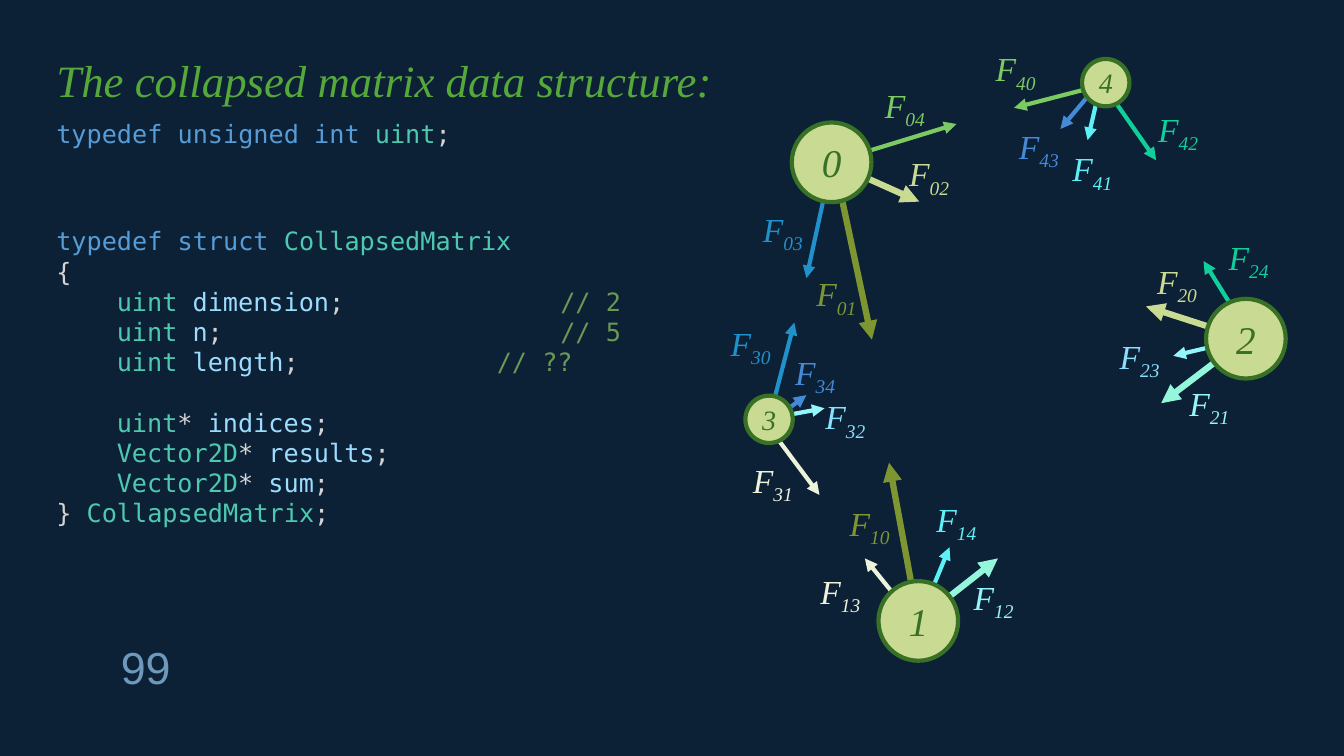
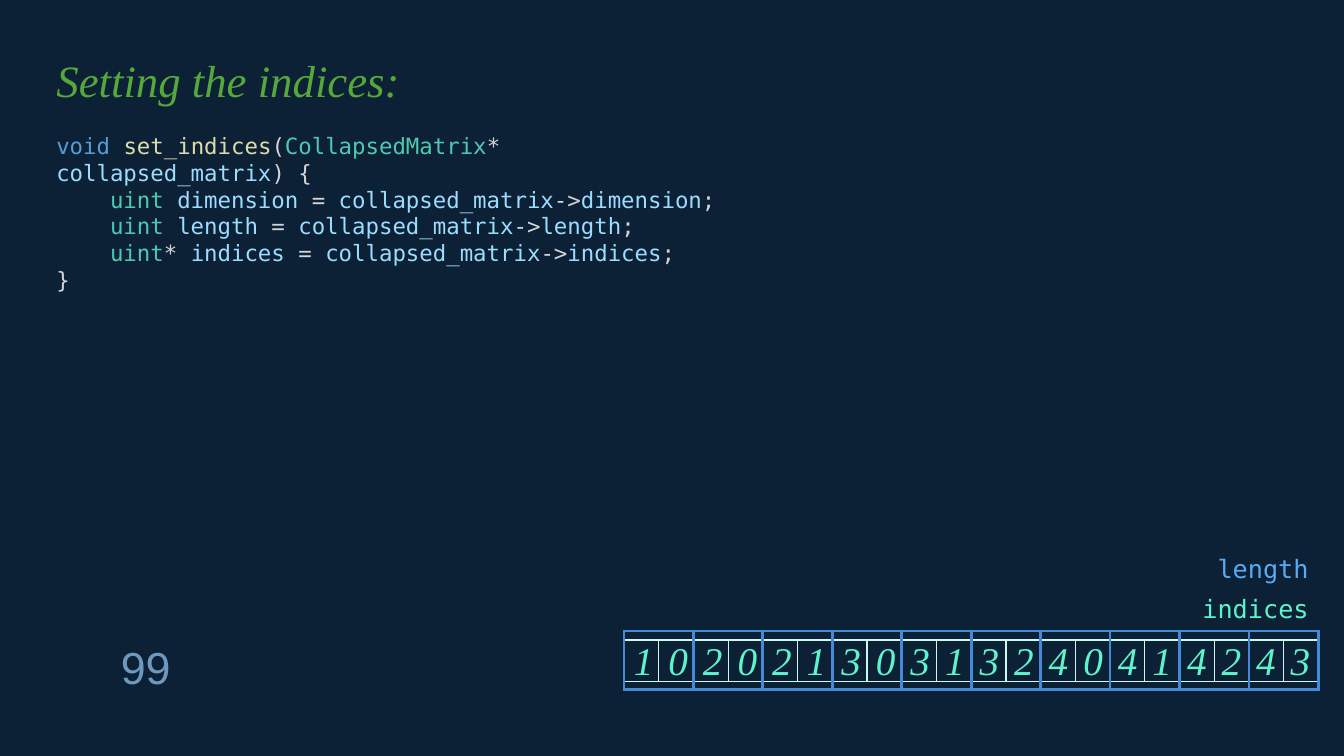
import dataclasses
import typing

import lxml.etree
import pptx
import pptx.dml.color
import pptx.enum.shapes
import pptx.enum.text
import pptx.oxml.ns
import pptx.presentation
import pptx.slide
import pptx.text.text
import pptx.util

Inches = pptx.util.Inches
Pt = pptx.util.Pt
RGBColor = pptx.dml.color.RGBColor
Align = pptx.enum.text.PP_ALIGN
qn = pptx.oxml.ns.qn

NAVY = RGBColor(0x0C, 0x20, 0x36)
TITLE_GREEN = RGBColor(0x55, 0xA8, 0x39)
NUMBER_BLUE = RGBColor(0x6E, 0x99, 0xBD)

KEYWORD = RGBColor(0x56, 0x9C, 0xD6)
TYPE = RGBColor(0x4E, 0xC9, 0xB0)
VARIABLE = RGBColor(0x9C, 0xDC, 0xFE)
FUNCTION = RGBColor(0xDC, 0xDC, 0xAA)
PLAIN = RGBColor(0xD4, 0xD4, 0xD4)
COMMENT = RGBColor(0x6A, 0x99, 0x55)

DARK_GREEN = RGBColor(0x38, 0x70, 0x26)
LIME = RGBColor(0xC9, 0xDA, 0x92)
OLIVE = RGBColor(0x7E, 0x96, 0x32)
LEAF = RGBColor(0x7C, 0xCA, 0x62)
OCEAN = RGBColor(0x21, 0x91, 0xC9)
BLUE = RGBColor(0x44, 0x8A, 0xD7)
SKY = RGBColor(0x8A, 0xDF, 0xFF)
PALE_CYAN = RGBColor(0x94, 0xF5, 0xFA)
CYAN = RGBColor(0x5E, 0xF0, 0xF7)
AQUA = RGBColor(0x94, 0xF7, 0xDC)
EMERALD = RGBColor(0x10, 0xCF, 0x9B)
CREAM = RGBColor(0xED, 0xF3, 0xDB)
MINT = RGBColor(0x5F, 0xF3, 0xCA)
PALE_MINT = RGBColor(0xCA, 0xFB, 0xED)
LENGTH_BLUE = RGBColor(0x59, 0xAA, 0xF2)

SERIF = {"name": "Times New Roman", "italic": True}
MONO = {"name": "DejaVu Sans Mono"}
TITLE_FONT = {**SERIF, "size": Pt(32)}
NUMBER_FONT = {"name": "Arial", "size": Pt(32)}
LABEL_FONT = {**SERIF, "size": Pt(24)}
DIGIT_FONT = {**SERIF, "size": Pt(28)}
CAPTION_FONT = {**MONO, "size": Pt(18)}

MARGIN = 0.46
MONO_ADVANCE = 0.6
ARRAY_LEFT, ARRAY_WIDTH = 6.19, 6.89
DIGIT_ROW_WIDTH = 6.86


class Token(typing.NamedTuple):
    text: str
    color: RGBColor


@dataclasses.dataclass(frozen=True)
class CodeLine:
    tokens: list[Token]
    comment_at: float | None = None
    space_before: float = 0


@dataclasses.dataclass(frozen=True)
class Body:
    x: float
    y: float
    diameter: float
    digit_size: int


@dataclasses.dataclass(frozen=True)
class Force:
    """Force on one body by another; the arrow starts at the body's centre by default."""
    on: int
    by: int
    tip: tuple[float, float]
    label: tuple[float, float]
    start: tuple[float, float] | None = None

    @property
    def pair(self) -> tuple[int, int]:
        return min(self.on, self.by), max(self.on, self.by)


class PairColors(typing.NamedTuple):
    arrow: RGBColor
    label: RGBColor


BODIES = [
    Body(8.25, 1.61, 0.79, 28),
    Body(9.11, 6.16, 0.79, 28),
    Body(12.36, 3.36, 0.79, 28),
    Body(7.63, 4.16, 0.47, 20),
    Body(10.97, 0.82, 0.47, 20),
]

PAIR_COLORS = {
    (0, 1): PairColors(OLIVE, OLIVE),
    (0, 2): PairColors(LIME, LIME),
    (0, 3): PairColors(OCEAN, OCEAN),
    (0, 4): PairColors(LEAF, LEAF),
    (1, 2): PairColors(AQUA, PALE_CYAN),
    (1, 3): PairColors(CREAM, CREAM),
    (1, 4): PairColors(CYAN, CYAN),
    (2, 3): PairColors(PALE_CYAN, SKY),
    (2, 4): PairColors(EMERALD, EMERALD),
    (3, 4): PairColors(BLUE, BLUE),
}

FORCES = [
    Force(0, 1, (8.65, 3.37), (8, 2.66), (8.26, 1.54)),
    Force(0, 2, (9.12, 2), (8.92, 1.47)),
    Force(0, 3, (8, 2.76), (7.47, 2.02)),
    Force(0, 4, (9.49, 1.23), (8.68, 0.79)),
    Force(1, 0, (8.82, 4.59), (8.33, 4.94)),
    Force(1, 2, (9.9, 5.54), (9.56, 5.67)),
    Force(1, 3, (8.58, 5.54), (8.04, 5.61), (9.09, 6.17)),
    Force(1, 4, (9.42, 5.43), (9.19, 4.9), (9.13, 6.13)),
    Force(2, 0, (11.37, 3.04), (11.38, 2.54)),
    Force(2, 1, (11.52, 4), (11.7, 3.75)),
    Force(2, 3, (11.64, 3.53), (11.01, 3.28)),
    Force(2, 4, (11.94, 2.59), (12.09, 2.3), (12.37, 3.28)),
    Force(3, 0, (7.88, 3.2), (7.15, 3.15)),
    Force(3, 1, (8.13, 4.91), (7.37, 4.51), (7.6, 4.2)),
    Force(3, 2, (8.18, 4.05), (8.09, 3.88), (7.69, 4.14)),
    Force(3, 4, (8, 3.92), (7.79, 3.44), (7.67, 4.17)),
    Force(4, 0, (10.06, 1.07), (9.78, 0.43), (10.95, 0.84)),
    Force(4, 1, (10.79, 1.39), (10.54, 1.42), (10.93, 0.79)),
    Force(4, 2, (11.47, 1.59), (11.39, 1.03), (10.93, 0.82)),
    Force(4, 3, (10.52, 1.28), (10.01, 1.2), (10.94, 0.78)),
]


def member(type_name: str, star: str, name: str, comment: str = "",
           comment_at: float | None = None, space_before: float = 0) -> CodeLine:
    tokens = [Token("\t" + type_name, TYPE), Token(star + " ", PLAIN),
              Token(name, VARIABLE), Token(";", PLAIN)]
    if comment:
        tokens.append(Token("\t" + comment, COMMENT))
    return CodeLine(tokens, comment_at, space_before)


def field_copy(star: str, name: str) -> CodeLine:
    return CodeLine([Token("\tuint", TYPE), Token(star + " ", PLAIN),
                     Token(name, VARIABLE), Token(" = ", PLAIN),
                     Token("collapsed_matrix", VARIABLE), Token("->", PLAIN),
                     Token(name, VARIABLE), Token(";", PLAIN)])


UINT_CODE = [CodeLine([Token("typedef unsigned int ", KEYWORD),
                       Token("uint", TYPE), Token(";", PLAIN)])]

STRUCT_CODE = [
    CodeLine([Token("typedef struct ", KEYWORD), Token("CollapsedMatrix", TYPE)]),
    CodeLine([Token("{", PLAIN)]),
    member("uint", "", "dimension", "// 2", 5),
    member("uint", "", "n", "// 5", 5),
    member("uint", "", "length", "// ??", 4.37),
    member("uint", "*", "indices", space_before=21.5),
    member("Vector2D", "*", "results"),
    member("Vector2D", "*", "sum"),
    CodeLine([Token("} ", PLAIN), Token("CollapsedMatrix", TYPE), Token(";", PLAIN)]),
]

SET_INDICES_CODE = [
    CodeLine([Token("void ", KEYWORD), Token("set_indices", FUNCTION), Token("(", PLAIN),
              Token("CollapsedMatrix", TYPE), Token("* ", PLAIN),
              Token("collapsed_matrix", VARIABLE), Token(") {", PLAIN)]),
    field_copy("", "dimension"),
    field_copy("", "length"),
    field_copy("*", "indices"),
    CodeLine([Token("}", PLAIN)]),
]


def add_run(paragraph: pptx.text.text._Paragraph, text: str, font: dict[str, typing.Any],
            color: RGBColor) -> pptx.text.text._Run:
    run = paragraph.add_run()
    run.text = text
    for attribute, value in font.items():
        setattr(run.font, attribute, value)
    run.font.color.rgb = color
    return run


def add_text_frame(slide: pptx.slide.Slide, left: float, top: float,
                   width: float, height: float) -> pptx.text.text.TextFrame:
    frame = slide.shapes.add_textbox(
        Inches(left), Inches(top), Inches(width), Inches(height)).text_frame
    frame.word_wrap = True
    frame.auto_size = pptx.enum.text.MSO_AUTO_SIZE.SHAPE_TO_FIT_TEXT
    return frame


def add_titled_slide(deck: pptx.presentation.Presentation, heading: str) -> pptx.slide.Slide:
    slide = deck.slides.add_slide(deck.slide_layouts.get_by_name("Title Only"))
    title = slide.shapes.title
    place = {"left": MARGIN, "top": 0.47, "width": 6.78, "height": 0.64}
    for attribute, value in place.items():
        setattr(title, attribute, Inches(value))
    frame = title.text_frame
    frame.auto_size = pptx.enum.text.MSO_AUTO_SIZE.NONE
    frame.vertical_anchor = pptx.enum.text.MSO_ANCHOR.TOP
    frame.paragraphs[0].alignment = Align.LEFT
    add_run(frame.paragraphs[0], heading, TITLE_FONT, TITLE_GREEN)
    number = add_text_frame(slide, 1.1, 6.3, 0.77, 0.64)
    add_run(number.paragraphs[0], "99", NUMBER_FONT, NUMBER_BLUE)
    return slide


def add_code(slide: pptx.slide.Slide, top: float, height: float, size: int,
             lines: list[CodeLine]) -> None:
    """Write code whose tab stops are a four-character indent and a comment column."""
    frame = add_text_frame(slide, MARGIN, top, 6.78, height)
    indent = 4 * MONO_ADVANCE * size / 72
    for index, line in enumerate(lines):
        paragraph = frame.add_paragraph() if index else frame.paragraphs[0]
        paragraph.space_before = Pt(line.space_before)
        stops = lxml.etree.SubElement(paragraph._p.get_or_add_pPr(), qn("a:tabLst"))
        for stop in (indent, line.comment_at):
            if stop is not None:
                lxml.etree.SubElement(stops, qn("a:tab"), pos=str(Inches(stop)), algn="l")
        for token in line.tokens:
            add_run(paragraph, token.text, {**MONO, "size": Pt(size)}, token.color)


def add_force_arrow(slide: pptx.slide.Slide, force: Force) -> None:
    body = BODIES[force.on]
    start = force.start or (body.x, body.y)
    arrow = slide.shapes.add_connector(
        pptx.enum.shapes.MSO_CONNECTOR.STRAIGHT, *map(Inches, start + force.tip))
    arrow.line.color.rgb = PAIR_COLORS[force.pair].arrow
    between_large_bodies = max(force.pair) <= 2
    arrow.line.width = Pt(4.5 if between_large_bodies else 3)
    properties = arrow.element.spPr
    lxml.etree.SubElement(properties.find(qn("a:ln")), qn("a:tailEnd"), type="triangle")
    lxml.etree.SubElement(properties, qn("a:effectLst"))


def add_force_label(slide: pptx.slide.Slide, force: Force) -> None:
    color = PAIR_COLORS[force.pair].label
    paragraph = add_text_frame(slide, *force.label, 0.79, 0.5).paragraphs[0]
    add_run(paragraph, "F", LABEL_FONT, color)
    subscript = add_run(paragraph, f"{force.on}{force.by}", LABEL_FONT, color)
    subscript._r.get_or_add_rPr().set("baseline", "-25000")


def add_body(slide: pptx.slide.Slide, number: int, body: Body) -> None:
    radius = body.diameter / 2
    circle = slide.shapes.add_shape(
        pptx.enum.shapes.MSO_SHAPE.OVAL, Inches(body.x - radius), Inches(body.y - radius),
        Inches(body.diameter), Inches(body.diameter))
    circle.shadow.inherit = False
    circle.fill.solid()
    circle.fill.fore_color.rgb = LIME
    circle.line.color.rgb = DARK_GREEN
    circle.line.width = Pt(3)
    circle.text_frame.vertical_anchor = pptx.enum.text.MSO_ANCHOR.MIDDLE
    paragraph = circle.text_frame.paragraphs[0]
    paragraph.alignment = Align.CENTER
    add_run(paragraph, str(number), {**SERIF, "size": Pt(body.digit_size)}, DARK_GREEN)


def add_array_grid(slide: pptx.slide.Slide, columns: int, top: float, height: float,
                   color: RGBColor, weight: float) -> None:
    """Draw one row of empty, unfilled cells with borders on every side."""
    table = slide.shapes.add_table(1, columns, Inches(ARRAY_LEFT), Inches(top),
                                   Inches(ARRAY_WIDTH), Inches(height)).table
    table.first_row = table.horz_banding = False
    for column in table.columns:
        column.width = Inches(ARRAY_WIDTH / columns)
    for cell in table.iter_cells():
        cell.fill.background()
        properties = cell._tc.get_or_add_tcPr()
        for index, side in enumerate(("a:lnL", "a:lnR", "a:lnT", "a:lnB")):
            border = lxml.etree.Element(qn(side), w=str(Pt(weight)))
            fill = lxml.etree.SubElement(border, qn("a:solidFill"))
            lxml.etree.SubElement(fill, qn("a:srgbClr"), val=str(color))
            properties.insert(index, border)


def add_structure_slide(deck: pptx.presentation.Presentation) -> None:
    slide = add_titled_slide(deck, "The collapsed matrix data structure:")
    add_code(slide, 1.12, 0.4, 18, UINT_CODE)
    add_code(slide, 2.19, 3.13, 18, STRUCT_CODE)
    for force in FORCES:
        add_force_arrow(slide, force)
    for number, body in enumerate(BODIES):
        add_body(slide, number, body)
    for force in FORCES:
        add_force_label(slide, force)


def add_indices_slide(deck: pptx.presentation.Presentation) -> None:
    slide = add_titled_slide(deck, "Setting the indices:")
    add_code(slide, 1.26, 1.45, 16, SET_INDICES_CODE)
    pairs = [(row, column) for row in range(len(BODIES)) for column in range(row)]
    pitch = DIGIT_ROW_WIDTH / len(pairs)
    for position, (row, column) in enumerate(pairs):
        left = ARRAY_LEFT + position * pitch
        for digit, digit_left in ((column, left + pitch / 2), (row, left)):
            frame = add_text_frame(slide, digit_left, 6.26, 0.33, 0.57)
            frame.paragraphs[0].alignment = Align.CENTER
            add_run(frame.paragraphs[0], str(digit), DIGIT_FONT, MINT)
    add_array_grid(slide, 2 * len(pairs), 6.35, 0.41, PALE_MINT, 1)
    add_array_grid(slide, len(pairs), 6.26, 0.58, BLUE, 2.25)
    for caption, top, color in (("indices", 5.84, MINT), ("length", 5.44, LENGTH_BLUE)):
        paragraph = add_text_frame(slide, ARRAY_LEFT, top, ARRAY_WIDTH, 0.4).paragraphs[0]
        paragraph.alignment = Align.RIGHT
        add_run(paragraph, caption, CAPTION_FONT, color)


def main() -> None:
    deck = pptx.Presentation()
    deck.slide_width, deck.slide_height = Inches(40 / 3), Inches(7.5)
    background = deck.slide_master.background.fill
    background.solid()
    background.fore_color.rgb = NAVY
    add_structure_slide(deck)
    add_indices_slide(deck)
    deck.save("out.pptx")


if __name__ == "__main__":
    main()
